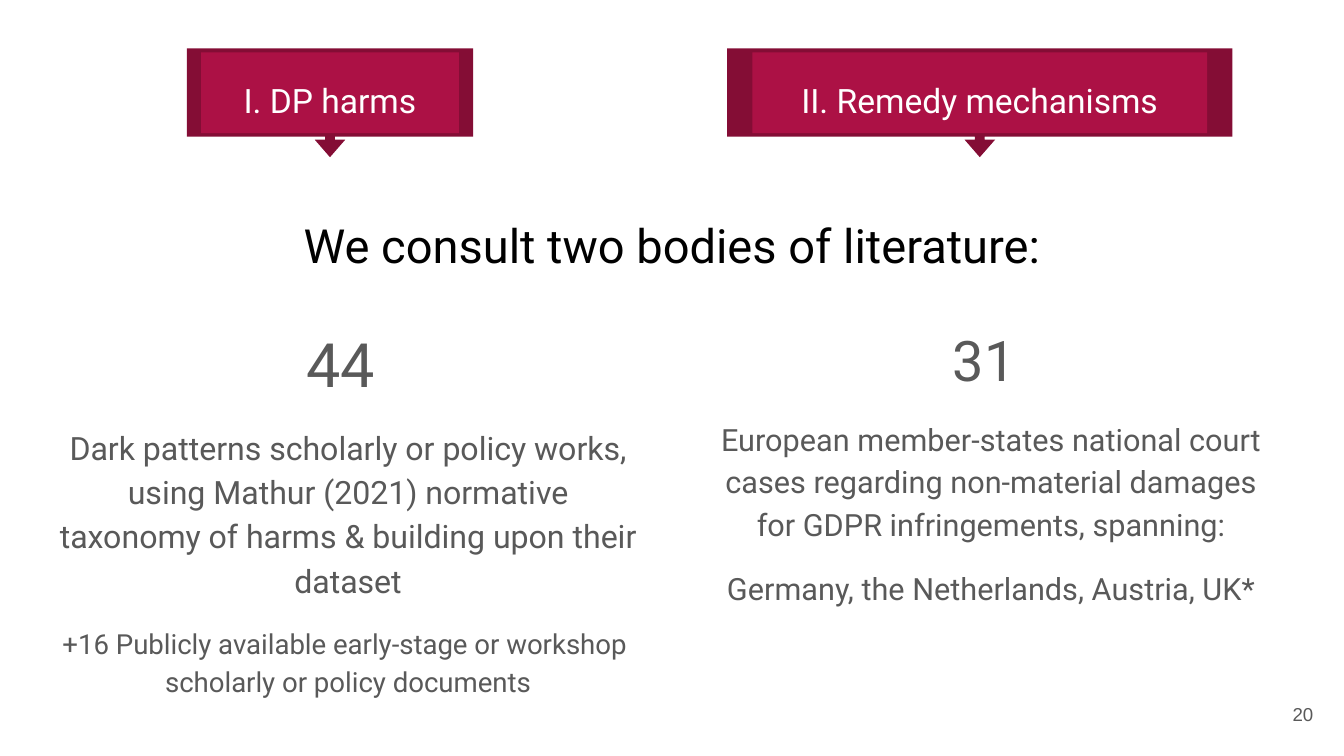
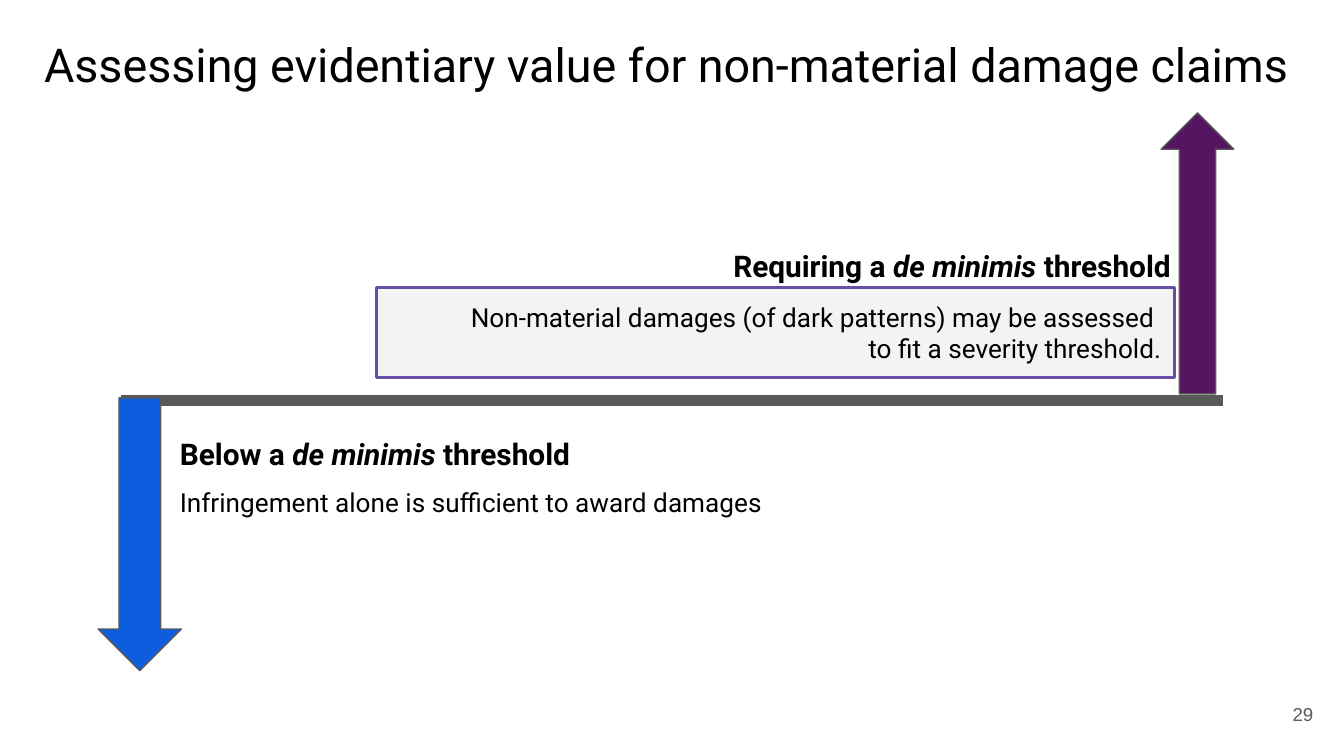
from lxml.etree import SubElement
from pptx import Presentation
from pptx.dml.color import RGBColor
from pptx.enum.shapes import MSO_CONNECTOR, MSO_SHAPE
from pptx.enum.text import MSO_ANCHOR, PP_ALIGN
from pptx.oxml.ns import qn
from pptx.util import Inches, Pt

BLACK, WHITE, GREY = "000000", "FFFFFF", "595959"
WINE, RED, BLUE, PLUM = "840D35", "AC1145", "0D5DDF", "551561"
PALE, VIOLET = "F3F3F3", "674EA7"
LEFT, MID, RIGHT = PP_ALIGN.LEFT, PP_ALIGN.CENTER, PP_ALIGN.RIGHT


def tint(code):
    """Turn a hex string into a colour."""
    return RGBColor.from_string(code)


def write(frame, rows, color=BLACK, align=LEFT, face="Roboto", space=1, gap=0):
    """Fill a frame with (text, size) rows."""
    frame.word_wrap = True
    frame.margin_left = frame.margin_right = Inches(0.1)
    frame.margin_top = frame.margin_bottom = Inches(0.1)
    for i, (text, size) in enumerate(rows):
        para = frame.add_paragraph() if i else frame.paragraphs[0]
        para.text = text
        para.alignment = align
        para.line_spacing = space
        para.space_before = Pt(gap if i else 0)
        para.font.name = face
        para.font.size = Pt(size)
        para.font.color.rgb = tint(color)


def label(slide, box, rows, **style):
    """Add a text box and return its frame."""
    frame = slide.shapes.add_textbox(*map(Inches, box)).text_frame
    write(frame, rows, **style)
    return frame


def block(slide, kind, box, fill, edge=None, width=0.75, turn=0, adjust=()):
    """Add a flat preset shape."""
    shape = slide.shapes.add_shape(kind, *map(Inches, box))
    shape.shadow.inherit = False
    shape.fill.solid()
    shape.fill.fore_color.rgb = tint(fill)
    if edge:
        shape.line.color.rgb = tint(edge)
        shape.line.width = Pt(width)
    else:
        shape.line.fill.background()
    shape.rotation = turn
    for i, value in enumerate(adjust):
        shape.adjustments[i] = value
    return shape


def title(slide, box, text, size, align=LEFT):
    """Add the slide title."""
    label(slide, box, [(text, size)], align=align)


def number(slide, text):
    """Add the page number in the corner."""
    frame = label(slide, (9.27, 5.1, 0.6, 0.43), [(text, 10)],
                  color=GREY, align=RIGHT, face="Arial")
    frame.vertical_anchor = MSO_ANCHOR.MIDDLE


def banner(slide, box, text):
    """Draw a framed banner that points down."""
    x, y, w, h = box
    shift = (w - h) / 2
    block(slide, MSO_SHAPE.RIGHT_ARROW_CALLOUT, (x + shift, y - shift, h, w),
          WINE, turn=90, adjust=(0.09, 0.14, 0.16, 0.81))
    block(slide, MSO_SHAPE.SNIP_1_RECTANGLE,
          (x + 0.05 * w, y + 0.03, 0.9 * w, 0.6), RED, adjust=(0,))
    label(slide, (x + 0.09 * w, y + 0.09, 0.82 * w, 0.34), [(text, 18)],
          color=WHITE, align=MID, space=1.15)


def column(slide, box, rows):
    """Add a centred column with a figure on top."""
    label(slide, box, rows, color=GREY, align=MID, space=1.15, gap=12)


def heading(slide, box, lead, align):
    """Add a bold threshold heading with its Latin term in italics."""
    para = label(slide, box, [("", 16)], align=align).paragraphs[0]
    para.font.bold = True
    for text, slant in ((lead, False), ("de minimis ", True), ("threshold", False)):
        run = para.add_run()
        run.text = text
        run.font.italic = slant


def axis(slide, x, y, w):
    """Draw the thick dividing line."""
    line = slide.shapes.add_connector(
        MSO_CONNECTOR.STRAIGHT, *map(Inches, (x, y, x + w, y)))
    line.line.color.rgb = tint(GREY)
    line.line.width = Pt(6)
    SubElement(line._element.spPr, qn("a:effectLst"))


def sources(slide):
    """Build the slide on the two bodies of literature."""
    column(slide, (0.34, 2.25, 4.5, 2.96), [
        ("44 ", 32.7),
        ("Dark patterns scholarly or policy works,\vusing Mathur (2021) normative "
         "taxonomy of harms & building upon their dataset", 17.2),
        ("+16 Publicly available early-stage or workshop \v"
         "scholarly or policy documents", 14.8)])
    column(slide, (5.19, 2.25, 4.37, 3.14), [
        ("31 ", 30),
        ("European member-states national court cases regarding non-material "
         "damages for GDPR infringements, spanning:", 16.4),
        ("Germany, the Netherlands, Austria, UK*", 16.4)])
    title(slide, (0.34, 1.51, 9.32, 0.62),
          "We consult two bodies of literature:", 25.2, MID)
    number(slide, "20")
    banner(slide, (1.39, 0.36, 2.13, 0.81), "I. DP harms")
    banner(slide, (5.41, 0.36, 3.76, 0.81), "II. Remedy mechanisms")


def claims(slide):
    """Build the slide on the damage threshold."""
    block(slide, MSO_SHAPE.UP_ARROW, (8.64, 0.84, 0.54, 2.09), PLUM, GREY)
    axis(slide, 0.9, 2.98, 8.2)
    block(slide, MSO_SHAPE.UP_ARROW, (0.73, 2.96, 0.62, 2.03), BLUE, GREY, turn=180)
    heading(slide, (1.24, 3.14, 3.87, 0.47), "Below a ", LEFT)
    heading(slide, (4.24, 1.74, 4.57, 0.47), "Requiring a ", RIGHT)
    number(slide, "29")
    title(slide, (0.23, 0.17, 9.87, 0.62),
          "Assessing evidentiary value for non-material damage claims", 25)
    label(slide, (1.24, 3.52, 5.04, 0.67),
          [("Infringement alone is sufficient to award damages", 14)])
    note = block(slide, MSO_SHAPE.RECTANGLE, (2.8, 2.14, 5.94, 0.67),
                 PALE, VIOLET, 1.5)
    note.text_frame.vertical_anchor = MSO_ANCHOR.TOP
    write(note.text_frame, [
        ("Non-material damages (of dark patterns) may be assessed ", 14),
        ("to fit a severity threshold.", 14)], align=RIGHT)


def main():
    """Build and save the deck."""
    deck = Presentation()
    deck.slide_width = Inches(10)
    deck.slide_height = deck.slide_width * 9 // 16
    for build in (sources, claims):
        build(deck.slides.add_slide(deck.slide_layouts[6]))
    deck.save("out.pptx")


if __name__ == "__main__":
    main()
